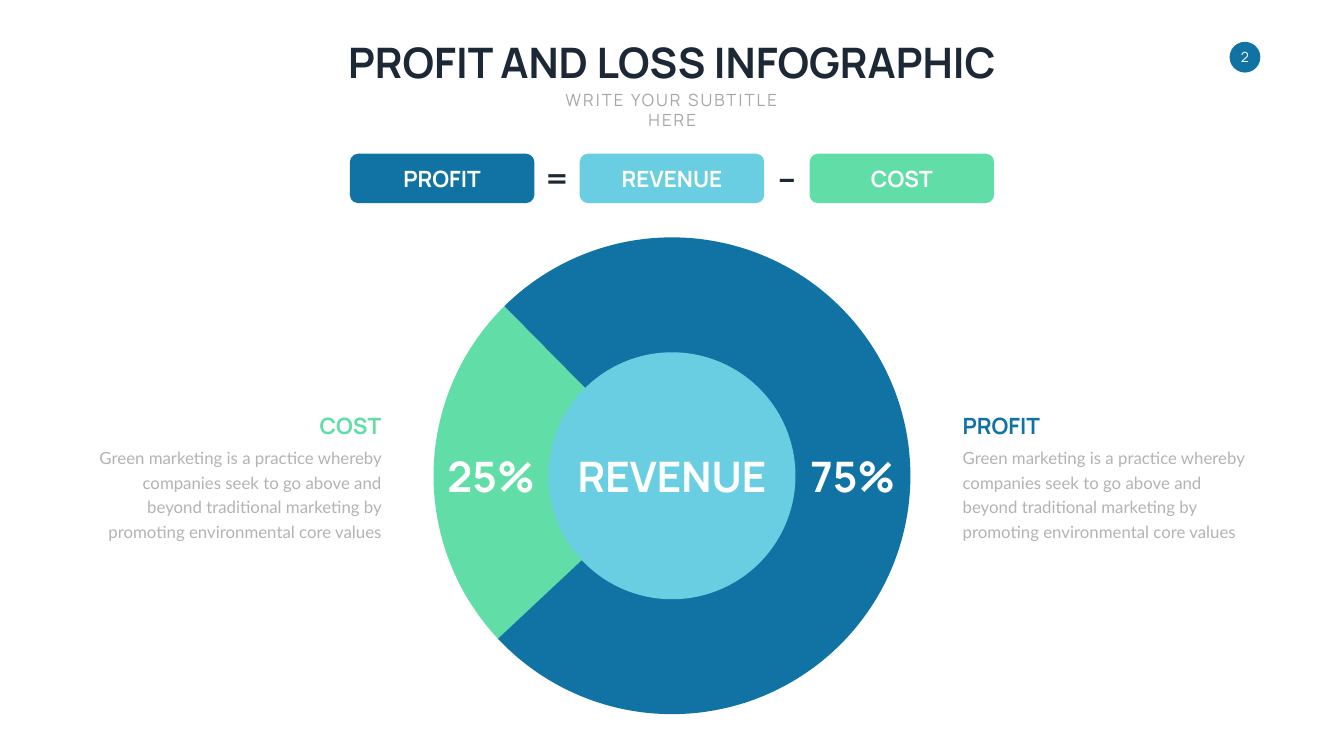
from dataclasses import dataclass
from typing import NamedTuple, Optional

from pptx import Presentation
from pptx.dml.color import RGBColor
from pptx.enum.shapes import MSO_SHAPE
from pptx.enum.text import MSO_ANCHOR, MSO_AUTO_SIZE, PP_ALIGN
from pptx.util import Pt

ELLIPSE, PIE, ROUNDED = MSO_SHAPE.OVAL, MSO_SHAPE.PIE, MSO_SHAPE.ROUNDED_RECTANGLE
TOP, MIDDLE, BOTTOM = MSO_ANCHOR.TOP, MSO_ANCHOR.MIDDLE, MSO_ANCHOR.BOTTOM
LEFT, CENTER, RIGHT = PP_ALIGN.LEFT, PP_ALIGN.CENTER, PP_ALIGN.RIGHT
NO_AUTOFIT = MSO_AUTO_SIZE.NONE


@dataclass(frozen=True)
class Theme:
    profit: str = "1073A3"
    revenue: str = "6ACEE3"
    cost: str = "61DDA8"
    dark: str = "1C2835"
    subtitle: str = "A6A6A6"
    body: str = "B3B3B3"
    white: str = "FFFFFF"
    heading_font: str = "Manrope"
    body_font: str = "Lato"
    display_size: int = 60
    operator_size: int = 48
    label_size: int = 32
    text_size: int = 24
    page_size: int = 20


THEME = Theme()


class Box(NamedTuple):
    left: float
    top: float
    width: float
    height: float


@dataclass(frozen=True)
class Style:
    size: int
    color: str
    bold: bool = True
    font: str = THEME.heading_font
    align: PP_ALIGN = CENTER
    anchor: MSO_ANCHOR = MIDDLE
    wrap: bool = False
    line: Optional[float] = None
    tracking: int = 0


@dataclass(frozen=True)
class Term:
    name: str
    color: str


@dataclass(frozen=True)
class Slice:
    color: str
    start: float
    end: float
    share: str
    side: int


@dataclass(frozen=True)
class Note:
    term: Term
    left: float
    align: PP_ALIGN


SLIDE_W, SLIDE_H = 1919.52, 1080
MID_X, MID_Y = SLIDE_W / 2, 679.68
RING_D, HUB_D = 681.12, 352.8
SHARE_OFFSET = 258.3
BUTTON_W, BUTTON_H, BUTTON_PITCH, FORMULA_Y = 263.52, 70.56, 328.32, 254.88
NOTE_W, NOTE_OFFSET, NOTE_TOP = 432, 408, 630

PROFIT = Term("PROFIT", THEME.profit)
REVENUE = Term("REVENUE", THEME.revenue)
COST = Term("COST", THEME.cost)

SLICES = [
    Slice(THEME.cost, 136.75, 225.32, "25%", -1),
    Slice(THEME.profit, 225.35, 136.85, "75%", 1),
]
NOTES = [
    Note(COST, MID_X - NOTE_OFFSET - NOTE_W, RIGHT),
    Note(PROFIT, MID_X + NOTE_OFFSET, LEFT),
]
NOTE_TEXT = (
    "Green marketing is a practice whereby companies seek to go above and "
    "beyond traditional marketing by promoting environmental core values"
)


def centered(x: float, y: float, width: float, height: float) -> Box:
    return Box(x - width / 2, y - height / 2, width, height)


def write(sp, text: str, style: Style) -> None:
    tf = sp.text_frame
    tf.auto_size = NO_AUTOFIT
    tf.word_wrap = style.wrap
    tf.vertical_anchor = style.anchor
    p = tf.paragraphs[0]
    p.alignment = style.align
    if style.line:
        p.line_spacing = Pt(style.line)
    r = p.add_run()
    r.text = text
    r.font.name = style.font
    r.font.size = Pt(style.size)
    r.font.bold = style.bold
    r.font.color.rgb = RGBColor.from_string(style.color)
    if style.tracking:
        r.font._element.set("spc", str(style.tracking * 100))


def add_text(s, box: Box, text: str, style: Style) -> None:
    write(s.shapes.add_textbox(*map(Pt, box)), text, style)


def add_filled(s, kind: MSO_SHAPE, box: Box, color: str):
    sp = s.shapes.add_shape(kind, *map(Pt, box))
    sp.shadow.inherit = False
    sp.fill.solid()
    sp.fill.fore_color.rgb = RGBColor.from_string(color)
    sp.line.fill.background()
    return sp


def fill_placeholder(sp, box: Box, text: str, style: Style) -> None:
    sp.left, sp.top, sp.width, sp.height = map(Pt, box)
    write(sp, text, style)


def add_header(s) -> None:
    fill_placeholder(
        s.shapes.title, Box(473.76, 48.24, 972, 79.92), "PROFIT AND LOSS INFOGRAPHIC",
        Style(THEME.display_size, THEME.dark, anchor=TOP),
    )
    fill_placeholder(
        s.placeholders[1], Box(764.64, 123.84, 390.96, 36), "WRITE YOUR SUBTITLE HERE",
        Style(THEME.text_size, THEME.subtitle, bold=False, anchor=TOP, wrap=True, tracking=3),
    )
    badge = add_filled(s, ELLIPSE, Box(1756.08, 59.76, 43.92, 43.92), THEME.profit)
    write(badge, "2", Style(THEME.page_size, THEME.white, bold=False))


def add_formula(s) -> None:
    for i, term in enumerate((PROFIT, REVENUE, COST)):
        x = MID_X + (i - 1) * BUTTON_PITCH
        button = add_filled(s, ROUNDED, centered(x, FORMULA_Y, BUTTON_W, BUTTON_H), term.color)
        write(button, term.name, Style(THEME.label_size, THEME.white))
    for i, sign in enumerate("=–"):
        x = MID_X + (i - 0.5) * BUTTON_PITCH
        add_text(s, centered(x, FORMULA_Y, 48, 65.52), sign,
                 Style(THEME.operator_size, THEME.dark))


def add_ring(s) -> None:
    style = Style(THEME.display_size, THEME.white)
    for part in SLICES:
        sp = add_filled(s, PIE, centered(MID_X, MID_Y, RING_D, RING_D), part.color)
        for i, angle in enumerate((part.start, part.end)):
            sp.adjustments[i] = angle * 0.6
    hub = add_filled(s, ELLIPSE, centered(MID_X, MID_Y, HUB_D, HUB_D), REVENUE.color)
    write(hub, REVENUE.name, style)
    for part in SLICES:
        x = MID_X + part.side * SHARE_OFFSET
        add_text(s, centered(x, MID_Y, 140, 79.92), part.share, style)


def add_note(s, note: Note) -> None:
    add_text(s, Box(note.left, NOTE_TOP - 46.08, NOTE_W, 46.08), note.term.name,
             Style(THEME.label_size, note.term.color, align=note.align, anchor=BOTTOM, wrap=True))
    add_text(s, Box(note.left, NOTE_TOP, NOTE_W, 144.72), NOTE_TEXT,
             Style(THEME.text_size, THEME.body, bold=False, font=THEME.body_font,
                   align=note.align, anchor=TOP, wrap=True, line=35))


def main() -> None:
    prs = Presentation()
    prs.slide_width, prs.slide_height = Pt(SLIDE_W), Pt(SLIDE_H)
    s = prs.slides.add_slide(prs.slide_layouts[0])
    add_header(s)
    add_ring(s)
    for note in NOTES:
        add_note(s, note)
    add_formula(s)
    prs.save("out.pptx")


if __name__ == "__main__":
    main()
